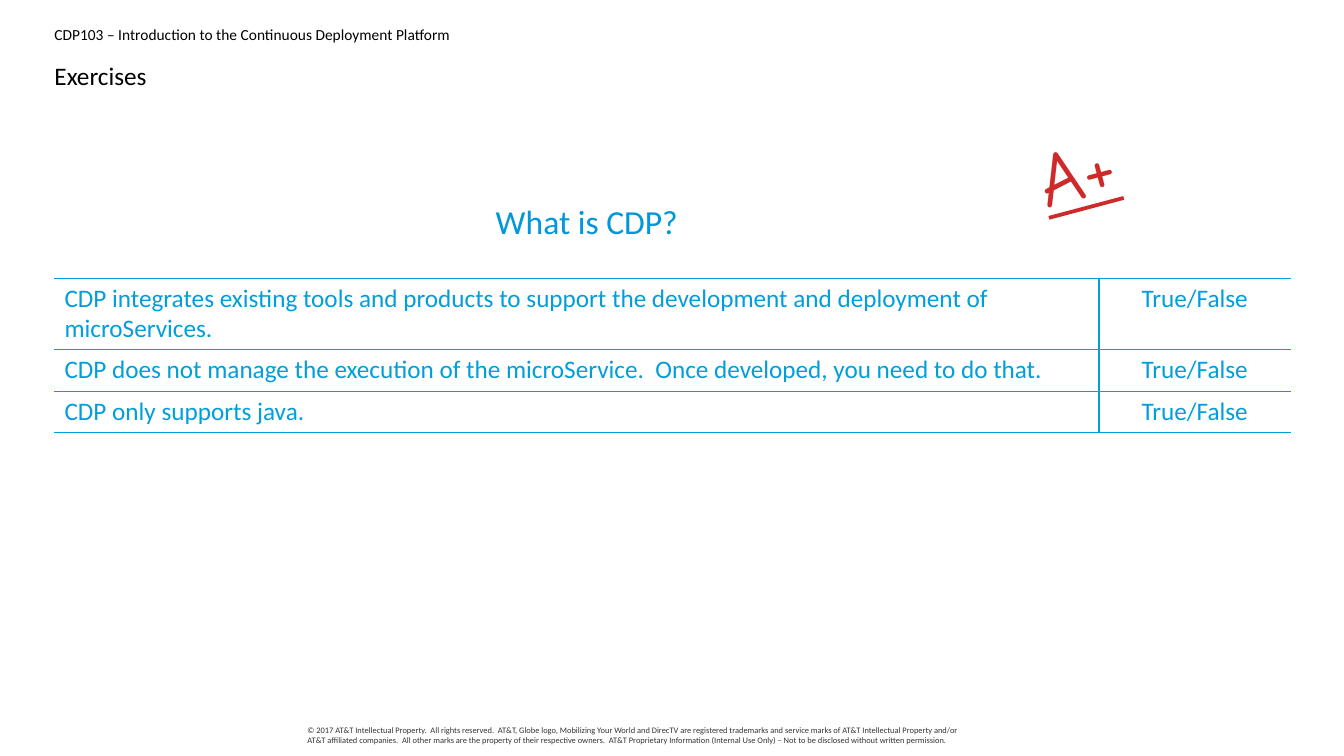
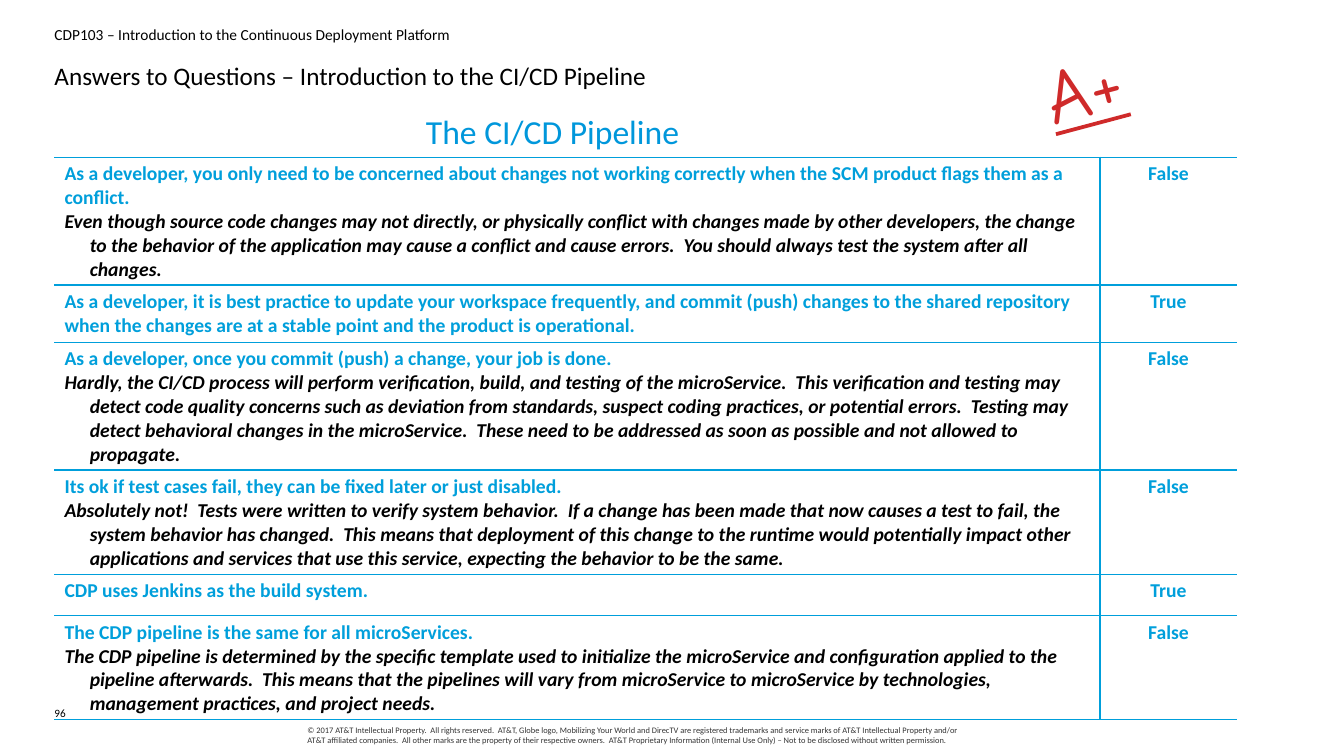
from dataclasses import dataclass

from lxml.etree import SubElement
from pptx import Presentation
from pptx.dml.color import RGBColor as Color
from pptx.enum.text import MSO_ANCHOR as Anchor, MSO_AUTO_SIZE as AutoSize, PP_ALIGN as Align
from pptx.oxml.ns import qn
from pptx.util import Inches, Pt

# Content
COURSE = "CDP103 – Introduction to the Continuous Deployment Platform"
COPYRIGHT = (
    "© 2017 AT&T Intellectual Property.  All rights reserved.  AT&T, Globe logo, Mobilizing Your World "
    "and DirecTV are registered trademarks and service marks of AT&T Intellectual Property and/or AT&T "
    "affiliated companies.  All other marks are the property of their respective owners.  AT&T Proprietary "
    "Information (Internal Use Only) – Not to be disclosed without written permission."
)
# Each row: statement, explanation, answer
EXERCISES = [
    ("CDP integrates existing tools and products to support the development and deployment of "
     "microServices.", "", "True/False"),
    ("CDP does not manage the execution of the microService.  Once developed, you need to do that.",
     "", "True/False"),
    ("CDP only supports java.", "", "True/False"),
]
ANSWERS = [
    ("As a developer, you only need to be concerned about changes not working correctly when the SCM "
     "product flags them as a conflict.",
     "Even though source code changes may not directly, or physically conflict with changes made by other "
     "developers, the change to the behavior of the application may cause a conflict and cause errors.  "
     "You should always test the system after all changes.", "False"),
    ("As a developer, it is best practice to update your workspace frequently, and commit (push) changes "
     "to the shared repository when the changes are at a stable point and the product is operational.",
     "", "True"),
    ("As a developer, once you commit (push) a change, your job is done.",
     "Hardly, the CI/CD process will perform verification, build, and testing of the microService.  This "
     "verification and testing may detect code quality concerns such as deviation from standards, suspect "
     "coding practices, or potential errors.  Testing may detect behavioral changes in the microService.  "
     "These need to be addressed as soon as possible and not allowed to propagate.", "False"),
    ("Its ok if test cases fail, they can be fixed later or just disabled.",
     "Absolutely not!  Tests were written to verify system behavior.  If a change has been made that now "
     "causes a test to fail, the system behavior has changed.  This means that deployment of this change "
     "to the runtime would potentially impact other applications and services that use this service, "
     "expecting the behavior to be the same.", "False"),
    ("CDP uses Jenkins as the build system.", "", "True"),
    ("The CDP pipeline is the same for all microServices.",
     "The CDP pipeline is determined by the specific template used to initialize the microService and "
     "configuration applied to the pipeline afterwards.  This means that the pipelines will vary from "
     "microService to microService by technologies, management practices, and project needs.", "False"),
]
SLIDES = [
    dict(title="Exercises", caption="What is CDP?", caption_box=(3.98, 1.94, 3.68, 0.5),
         grade_at=(10.28, 1.17), table_top=2.76, columns=(10.36, 1.9), size=18, bold=False,
         rows=EXERCISES, number=""),
    dict(title="Answers to Questions – Introduction to the CI/CD Pipeline",
         caption="The CI/CD Pipeline", caption_box=(2.97, 1.05, 5.02, 0.5),
         grade_at=(10.35, 0.34), table_top=1.56, columns=(10.37, 1.36), size=14, bold=True,
         rows=ANSWERS, number="96"),
]


@dataclass(frozen=True)
class Theme:
    font: str = "Calibri"
    grade_font: str = "Comic Neue"
    black: str = "000000"
    gray: str = "343434"
    blue: str = "009FDB"
    caption_blue: str = "0097DB"
    red: str = "CF2A2A"
    number_size: int = 8
    course_size: int = 11
    copyright_size: int = 6
    title_size: int = 18
    caption_size: int = 24
    grade_size: int = 54


THEME = Theme()
LEFT, WIDTH = 0.54, 12.26
ROW_HEIGHT = 0.41
INDENT = Inches(0.25)


# Text helpers
def add_run(paragraph, text, size, color, name=THEME.font, bold=False, italic=False):
    run = paragraph.add_run()
    run.text = text
    font = run.font
    font.name, font.size, font.bold, font.italic = name, Pt(size), bold, italic
    font.color.rgb = Color.from_string(color)
    return run


def clear_margins(frame):
    frame.margin_left = frame.margin_top = frame.margin_right = frame.margin_bottom = 0


def add_text(slide, box, text, size, color, name=THEME.font, margins=False):
    shape = slide.shapes.add_textbox(*map(Inches, box))
    frame = shape.text_frame
    frame.word_wrap = True
    if not margins:
        clear_margins(frame)
    add_run(frame.paragraphs[0], text, size, color, name)
    return shape


# Slide parts
def add_shared_lines(slide):
    """Place the course line and copyright on the layout of the slide."""
    lines = [
        ((LEFT, 0.25, WIDTH, 0.2), COURSE, THEME.course_size, THEME.black),
        ((3.05, 7.19, 6.64, 0.24), COPYRIGHT, THEME.copyright_size, THEME.gray),
    ]
    for line in lines:
        shape = add_text(slide, *line)
        slide.slide_layout.shapes.element.append(shape.element)


def set_title(slide, text):
    title = slide.shapes.title
    title.left, title.top, title.width, title.height = map(Inches, (LEFT, 0.57, WIDTH, 0.37))
    frame = title.text_frame
    clear_margins(frame)
    frame.auto_size = AutoSize.NONE
    frame.vertical_anchor = Anchor.TOP
    paragraph = frame.paragraphs[0]
    paragraph.alignment = Align.LEFT
    paragraph.line_spacing, paragraph.space_after = 1.1, Pt(10)
    add_run(paragraph, text, THEME.title_size, THEME.black)


def set_borders(cell, sides):
    properties = cell._tc.get_or_add_tcPr()
    for side in "LRTB":
        line = SubElement(properties, qn(f"a:ln{side}"), w=str(Pt(1)))
        if side in sides:
            fill = SubElement(line, qn("a:solidFill"))
            SubElement(fill, qn("a:srgbClr"), val=THEME.blue)
        else:
            SubElement(line, qn("a:noFill"))
    cell.fill.background()


def add_questions(slide, rows, top, columns, size, bold):
    frame = slide.shapes.add_table(len(rows), len(columns), Inches(LEFT), Inches(top),
                                   Inches(sum(columns)), Inches(ROW_HEIGHT * len(rows)))
    table = frame.table
    table.first_row = table.horz_banding = False
    for column, width in zip(table.columns, columns):
        column.width = Inches(width)
    for row, (statement, explanation, answer) in zip(table.rows, rows):
        row.height = Inches(ROW_HEIGHT)
        question_cell, answer_cell = row.cells
        set_borders(question_cell, "TRB")
        set_borders(answer_cell, "LTB")
        add_run(question_cell.text_frame.paragraphs[0], statement, size, THEME.blue, bold=bold)
        if explanation:
            paragraph = question_cell.text_frame.add_paragraph()
            properties = paragraph._p.get_or_add_pPr()
            properties.set("marL", str(INDENT))
            properties.set("indent", str(-INDENT))
            add_run(paragraph, explanation, size, THEME.black, bold=bold, italic=True)
        paragraph = answer_cell.text_frame.paragraphs[0]
        paragraph.alignment = Align.CENTER
        add_run(paragraph, answer, size, THEME.blue, bold=bold)


def add_caption(slide, text, box):
    shape = add_text(slide, box, text, THEME.caption_size, THEME.caption_blue, margins=True)
    shape.text_frame.auto_size = AutoSize.SHAPE_TO_FIT_TEXT
    shape.text_frame.paragraphs[0].alignment = Align.CENTER


def add_grade(slide, position):
    shape = add_text(slide, (*position, 1.26, 0.89), "A+", THEME.grade_size, THEME.red,
                     THEME.grade_font)
    shape.rotation = 345.1
    shape.text_frame.paragraphs[0].runs[0].font.underline = True


def add_number(slide, number):
    shape = add_text(slide, (LEFT, 7, 0.32, 0.25), number, THEME.number_size, THEME.black)
    shape.text_frame.paragraphs[0].line_spacing = Pt(10)


def main():
    presentation = Presentation()
    presentation.slide_width, presentation.slide_height = Inches(13.33), Inches(7.5)
    title_only = presentation.slide_layouts[5]
    for index, content in enumerate(SLIDES):
        slide = presentation.slides.add_slide(title_only)
        if index == 0:
            add_shared_lines(slide)
        if content["number"]:
            add_number(slide, content["number"])
        set_title(slide, content["title"])
        add_questions(slide, content["rows"], content["table_top"], content["columns"],
                      content["size"], content["bold"])
        add_caption(slide, content["caption"], content["caption_box"])
        add_grade(slide, content["grade_at"])
    presentation.save("out.pptx")


if __name__ == "__main__":
    main()
